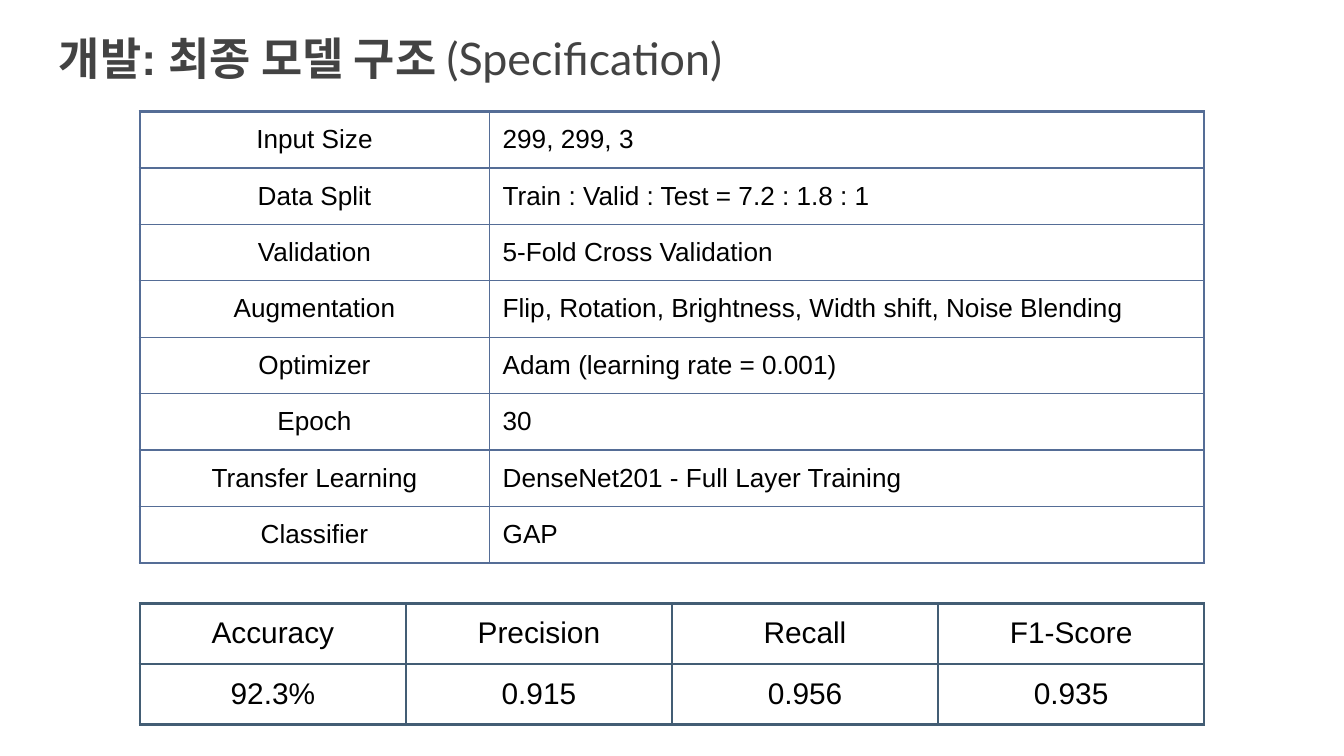
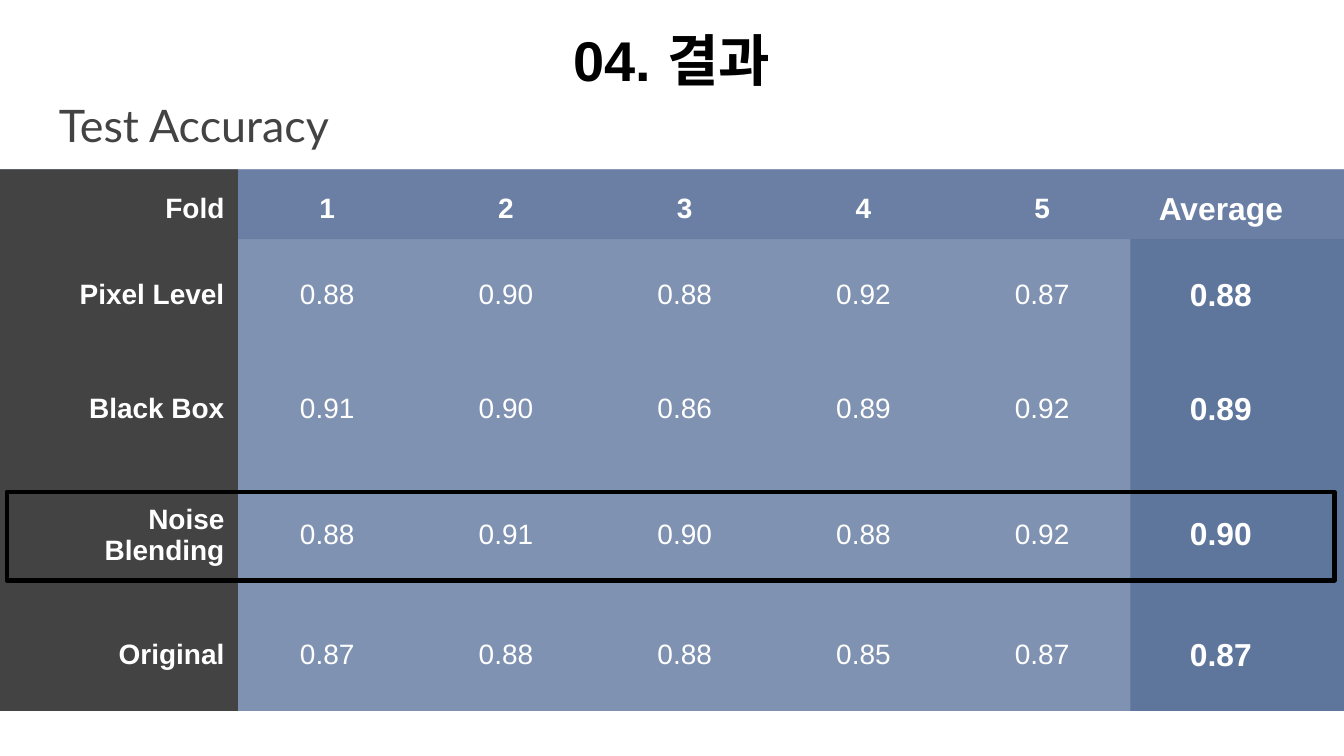
from lxml import etree
from pptx import Presentation
from pptx.dml.color import RGBColor
from pptx.enum.shapes import MSO_SHAPE as SHAPE
from pptx.enum.text import MSO_ANCHOR as ANCHOR, PP_ALIGN as ALIGN
from pptx.oxml.ns import qn
from pptx.util import Inches, Pt

BLUE, SLATE, GREY = "556D96", "435D74", "434343"
BLACK, WHITE = "000000", "FFFFFF"
HEADING, BODY = "Lato", "Arial"
PAD = 0.1
BAND_TOP, BAND_HEIGHT, HEADER_HEIGHT = 1.26, 4.03, 0.52

SPECIFICATION = [
    ("Input Size", "299, 299, 3"),
    ("Data Split", "Train : Valid : Test = 7.2 : 1.8 : 1"),
    ("Validation", "5-Fold Cross Validation"),
    ("Augmentation", "Flip, Rotation, Brightness, Width shift, Noise Blending"),
    ("Optimizer", "Adam (learning rate = 0.001)"),
    ("Epoch", "30"),
    ("Transfer Learning", "DenseNet201 - Full Layer Training"),
    ("Classifier", "GAP"),
]
SCORES = [
    ("Accuracy", "Precision", "Recall", "F1-Score"),
    ("92.3%", "0.915", "0.956", "0.935"),
]
FOLDS = [
    ("Fold", "1", "2", "3", "4", "5", "Average"),
    ("Pixel Level", "0.88", "0.90", "0.88", "0.92", "0.87", "0.88"),
    ("Black Box", "0.91", "0.90", "0.86", "0.89", "0.92", "0.89"),
    ("Noise Blending", "0.88", "0.91", "0.90", "0.88", "0.92", "0.90"),
    ("Original", "0.87", "0.88", "0.88", "0.85", "0.87", "0.87"),
]


def rgb(color):
    """Turn a hex string into a colour."""
    return RGBColor.from_string(color)


def add_run(p, text, size=14, font=BODY, color=BLACK, bold=False):
    """Append formatted text to a paragraph."""
    r = p.add_run()
    r.text = text
    r.font.size, r.font.name, r.font.bold = Pt(size), font, bold
    r.font.color.rgb = rgb(color)


def set_margins(box):
    """Give a text frame or a cell the common padding."""
    box.margin_left = box.margin_right = Inches(PAD)
    box.margin_top = box.margin_bottom = Inches(PAD)


def add_text(slide, at, runs, align=ALIGN.LEFT, anchor=ANCHOR.TOP):
    """Add a one-paragraph text box made of (text, format) runs."""
    tf = slide.shapes.add_textbox(*map(Inches, at)).text_frame
    tf.word_wrap = True
    tf.vertical_anchor = anchor
    set_margins(tf)
    p = tf.paragraphs[0]
    p.alignment = align
    for text, style in runs:
        add_run(p, text, **style)


def add_title(slide, top, *runs):
    """Add the left-aligned slide title."""
    base = dict(size=24, color=GREY)
    add_text(slide, (0.34, top, 9.32, 0.63),
             [(text, base | style) for text, style in runs])


def add_rect(slide, at, fill=None, alpha=None, line=None, width=2.25):
    """Add a rectangle with an optional fill, opacity in percent, and outline."""
    sp = slide.shapes.add_shape(SHAPE.RECTANGLE, *map(Inches, at))
    sp.shadow.inherit = False
    if fill:
        sp.fill.solid()
        sp.fill.fore_color.rgb = rgb(fill)
    else:
        sp.fill.background()
    if alpha:
        clr = sp.element.spPr.find(".//" + qn("a:srgbClr"))
        etree.SubElement(clr, qn("a:alpha"), val=str(alpha * 1000))
    if line:
        sp.line.color.rgb = rgb(line)
        sp.line.width = Pt(width)
    else:
        sp.line.fill.background()


def set_borders(cell, color, widths):
    """Draw the left, right, top and bottom borders, or hide them without a colour."""
    tc_pr = cell._tc.get_or_add_tcPr()
    for i, (side, width) in enumerate(zip("LRTB", widths)):
        ln = etree.Element(qn(f"a:ln{side}"), w=str(Pt(width)))
        if color:
            fill = etree.SubElement(ln, qn("a:solidFill"))
            etree.SubElement(fill, qn("a:srgbClr"), val=color)
        else:
            etree.SubElement(ln, qn("a:noFill"))
        tc_pr.insert(i, ln)


def add_table(slide, left, top, cols, heights, rows, style,
              border=None, anchor=ANCHOR.MIDDLE):
    """Add an unfilled table; style(row, column) gives alignment and run format."""
    last_row, last_col = len(rows) - 1, len(cols) - 1
    table = slide.shapes.add_table(
        len(rows), len(cols), Inches(left), Inches(top),
        Inches(sum(cols)), Inches(sum(heights))).table
    table.first_row = table.horz_banding = False
    for column, width in zip(table.columns, cols):
        column.width = Inches(width)
    for row, height in zip(table.rows, heights):
        row.height = Inches(height)
    for i, texts in enumerate(rows):
        for j, text in enumerate(texts):
            cell = table.cell(i, j)
            cell.fill.background()
            cell.vertical_anchor = anchor
            set_margins(cell)
            outer = (j == 0, j == last_col, i == 0, i == last_row)
            set_borders(cell, border, [1.5 if edge else 0.75 for edge in outer])
            align, run_format = style(i, j)
            p = cell.text_frame.paragraphs[0]
            p.alignment = align
            add_run(p, text, **run_format)


def specification_style(i, j):
    """Centre the item names and left-align their values."""
    return (ALIGN.LEFT if j else ALIGN.CENTER), {}


def score_style(i, j):
    """Centre the scores in larger text."""
    return ALIGN.CENTER, dict(size=16)


def fold_style(i, j):
    """Make headers and averages bold, and averages larger."""
    average = j == len(FOLDS[0]) - 1
    return (ALIGN.CENTER if j else ALIGN.RIGHT), dict(
        size=17 if average else 15, color=WHITE, bold=i == 0 or j == 0 or average)


def build_specification(slide):
    """Build the slide with the final model structure."""
    add_table(slide, 1.04, 0.83, [2.6, 5.32], [0.42] * len(SPECIFICATION),
              SPECIFICATION, specification_style, BLUE, ANCHOR.TOP)
    add_table(slide, 1.04, 4.49, [1.98] * 4, [0.45] * 2, SCORES, score_style, SLATE)
    add_title(slide, 0.13, ("개발: 최종 모델 구조 ", dict(bold=True)),
              ("(Specification)", dict(font=HEADING)))


def build_results(slide):
    """Build the slide with the test accuracy of each fold."""
    average = (8.41, BAND_TOP + HEADER_HEIGHT, 1.59, BAND_HEIGHT - HEADER_HEIGHT)
    layers = [(-0.29, BAND_TOP, 10.46, BAND_HEIGHT), average, average,
              (0, BAND_TOP, 10, BAND_HEIGHT), (0, BAND_TOP, 10, HEADER_HEIGHT)]
    for at in layers:
        add_rect(slide, at, fill=BLUE, alpha=49)
    add_rect(slide, (0, BAND_TOP, 1.77, BAND_HEIGHT), fill=GREY)
    add_table(slide, 0.16, 1.3, [1.61] + [1.33] * 6,
              [0.51, 0.77, 0.93, 0.94, 0.85], FOLDS, fold_style)
    add_rect(slide, (0.05, 3.66, 9.88, 0.66), line=BLACK)
    add_text(slide, (0, 0.08, 10, 0.72), [("04. 결과", dict(size=30, bold=True))],
             ALIGN.CENTER, ANCHOR.MIDDLE)
    add_title(slide, 0.63, ("Test Accuracy", dict(font=HEADING)))


def main():
    """Build and save the presentation."""
    prs = Presentation()
    prs.slide_width, prs.slide_height = Inches(10), Inches(10 * 9 / 16)
    for build in (build_specification, build_results):
        build(prs.slides.add_slide(prs.slide_layouts[6]))
    prs.save("out.pptx")


if __name__ == "__main__":
    main()
